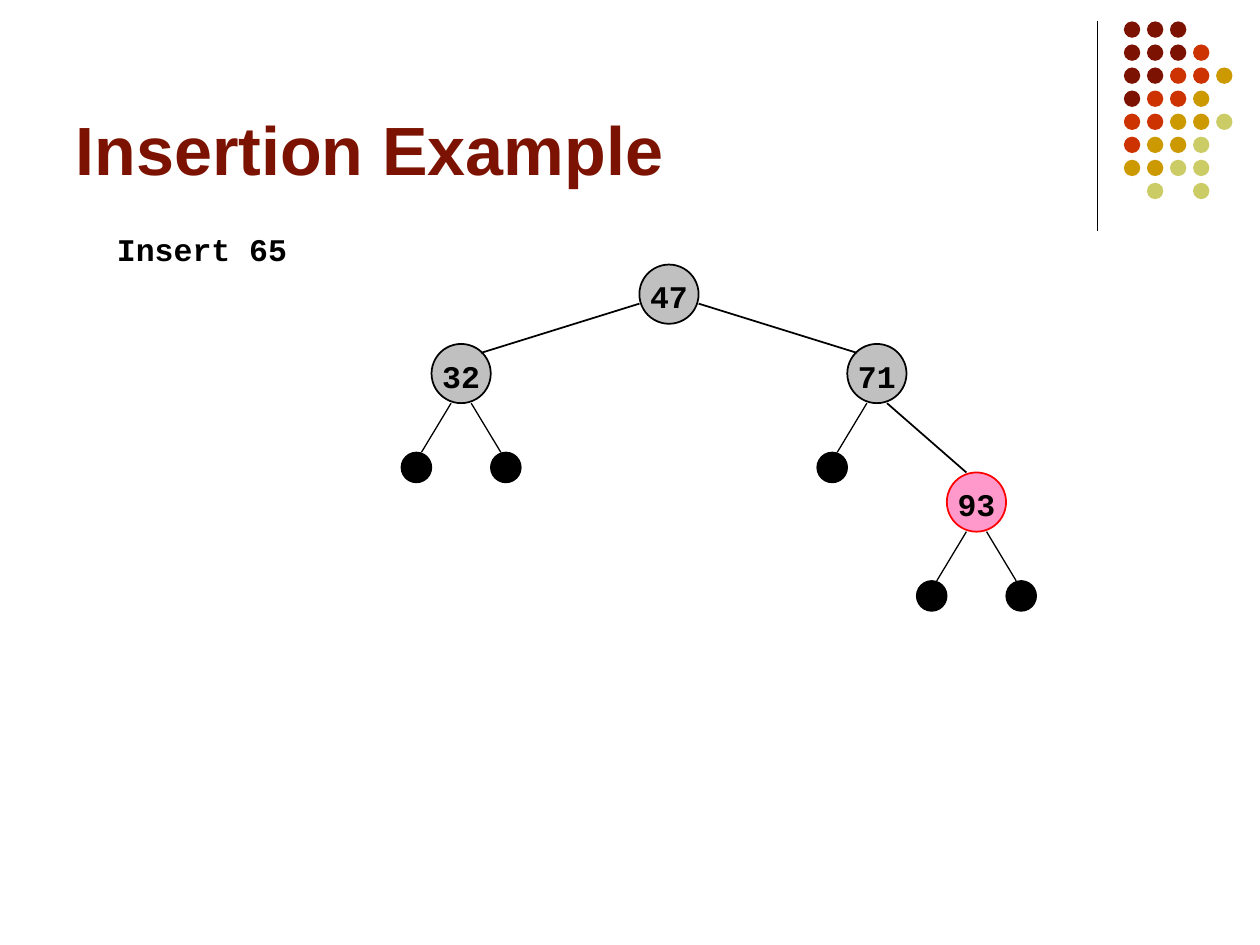
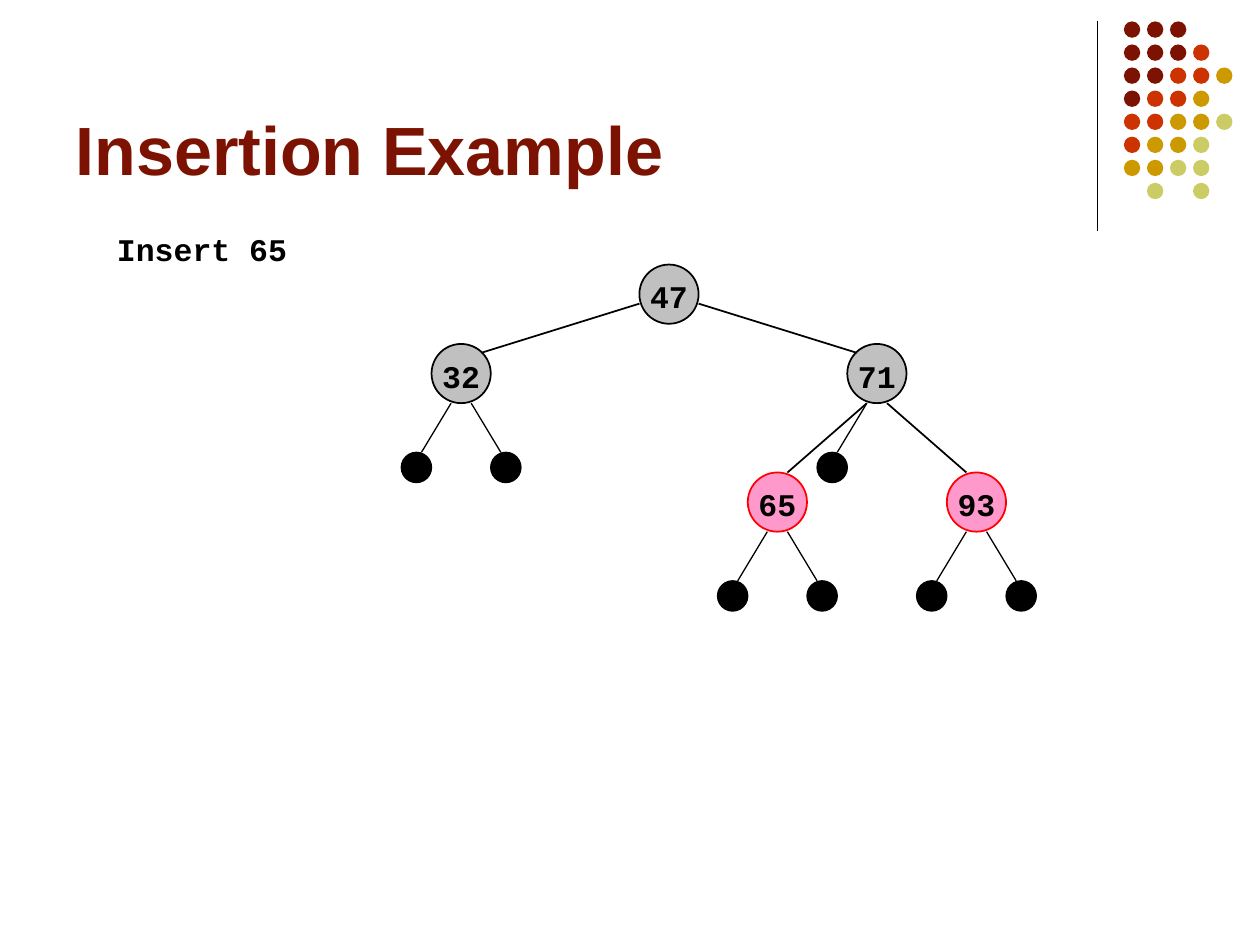
from lxml.etree import SubElement
from pptx import Presentation
from pptx.dml.color import RGBColor
from pptx.enum.shapes import MSO_CONNECTOR, MSO_SHAPE
from pptx.enum.text import MSO_ANCHOR, PP_ALIGN
from pptx.oxml.ns import qn
from pptx.util import Inches, Pt

COLORS = {
    "maroon": "7C1302", "red": "CC3300", "gold": "CC9900", "olive": "CCCC66",
    "black": "000000", "grey": "C0C0C0", "pink": "FF99CC", "bright red": "FF0000",
}

# Dot grid of the corner ornament, one letter a dot
DOT_ROWS = ["MMM", "MMMR", "MMRRG", "MRRG", "RRGGO", "RGGO", "GGOO", " O O"]
DOT_COLORS = {"M": "maroon", "R": "red", "G": "gold", "O": "olive"}
DOT_SIZE, DOT_STEP = 0.13, 0.183
DOT_LEFT, DOT_TOP = 8.92, 0.17

# Tree grid: column centres and the top of each level
NODE, LEAF = 0.47, 0.24
ROOT_X = 5.31
LEVEL_TOPS = [2.1, 2.73, 3.75]
CHILD_STEP, GRANDCHILD_STEP = 1.65, 0.79
FOOT = 0.08           # distance of an edge's end from the node's centre line
LEAF_SHIFT, LEAF_DROP = 0.355, 0.39

RIGHT_X = ROOT_X + CHILD_STEP
NODES = {  # key: (centre, level, fill, line)
    "47": (ROOT_X, 0, "grey", "black"),
    "71": (RIGHT_X, 1, "grey", "black"),
    "32": (ROOT_X - CHILD_STEP, 1, "grey", "black"),
    "65": (RIGHT_X - GRANDCHILD_STEP, 2, "pink", "bright red"),
    "93": (RIGHT_X + GRANDCHILD_STEP, 2, "pink", "bright red"),
}
LEFT, RIGHT = -1, 1
LEAVES = [("32", LEFT), ("32", RIGHT), ("65", LEFT), ("65", RIGHT),
          ("93", LEFT), ("93", RIGHT), ("71", LEFT)]
SLIDE_KEYS = [["47", "71", "32", "93"], ["47", "71", "32", "65", "93"]]


def add_circle(slide, left, top, size, fill, line=None, width=0.75):
    shape = slide.shapes.add_shape(
        MSO_SHAPE.OVAL, Inches(left), Inches(top), Inches(size), Inches(size))
    shape.shadow.inherit = False
    shape.fill.solid()
    shape.fill.fore_color.rgb = RGBColor.from_string(COLORS[fill])
    if line:
        shape.line.color.rgb = RGBColor.from_string(COLORS[line])
        shape.line.width = Pt(width)
    else:
        shape.line.fill.background()
    return shape


def add_line(slide, start_x, start_y, end_x, end_y, width=0.75):
    connector = slide.shapes.add_connector(
        MSO_CONNECTOR.STRAIGHT, Inches(start_x), Inches(start_y),
        Inches(end_x), Inches(end_y))
    connector.line.color.rgb = RGBColor.from_string(COLORS["black"])
    connector.line.width = Pt(width)
    SubElement(connector._element.spPr, qn("a:effectLst"))
    return connector


presentation = Presentation()
presentation.slide_width, presentation.slide_height = Inches(10), Inches(7.5)
layout = presentation.slide_layouts[5]
slides = [presentation.slides.add_slide(layout) for keys in SLIDE_KEYS]

# Shared ornament: drawn once, then moved to the layout
ornament = [add_line(slides[0], 8.71, 0.17, 8.71, 1.83)]
for row, letters in enumerate(DOT_ROWS):
    for column, letter in enumerate(letters):
        if letter in DOT_COLORS:
            ornament.append(add_circle(
                slides[0], DOT_LEFT + column * DOT_STEP, DOT_TOP + row * DOT_STEP,
                DOT_SIZE, DOT_COLORS[letter]))
for shape in ornament:
    layout.shapes._spTree.append(shape._element)

for slide, keys in zip(slides, SLIDE_KEYS):
    # Title and caption
    title = slide.shapes.title
    title.left, title.top = Inches(0.5), Inches(0.13)
    title.width, title.height = Inches(8.25), Inches(1.42)
    caption = slide.shapes.add_textbox(
        Inches(0.83), Inches(1.78), Inches(2.6), Inches(0.4))
    texts = [(title, "Insertion Example", "Arial", 39, "maroon", PP_ALIGN.LEFT),
             (caption, "Insert 65", "Courier New", 18, "black", PP_ALIGN.LEFT)]
    title.text_frame.vertical_anchor = MSO_ANCHOR.BOTTOM

    # Nodes
    for key in keys:
        center, level, fill, line = NODES[key]
        node = add_circle(slide, center - NODE / 2, LEVEL_TOPS[level], NODE,
                          fill, line, 1)
        texts.append((node, key, "Courier New", 18, "black", PP_ALIGN.CENTER))
        frame = node.text_frame
        frame.vertical_anchor = MSO_ANCHOR.MIDDLE
        frame.margin_left = frame.margin_right = 0
        frame.margin_top, frame.margin_bottom = Inches(0.03), 0

    # Text of the title, the caption and the nodes
    for shape, text, font, size, color, alignment in texts:
        shape.text_frame.word_wrap = shape in (title, caption)
        paragraph = shape.text_frame.paragraphs[0]
        paragraph.alignment = alignment
        run = paragraph.add_run()
        run.text = text
        run.font.name, run.font.size, run.font.bold = font, Pt(size), True
        run.font.color.rgb = RGBColor.from_string(COLORS[color])

    # Edges from the root
    for side in (LEFT, RIGHT):
        add_line(slide, ROOT_X + side * NODE / 2, 2.41,
                 ROOT_X + side * (CHILD_STEP - 2 * FOOT), 2.8, 1)

    # Edges from 71 to its children
    for key, side in (("65", LEFT), ("93", RIGHT)):
        if key in keys:
            add_line(slide, RIGHT_X + side * FOOT, LEVEL_TOPS[1] + NODE,
                     NODES[key][0] - side * FOOT, LEVEL_TOPS[2], 1)

    # Black leaves
    for key, side in LEAVES:
        if key in keys:
            center, level = NODES[key][:2]
            bottom = LEVEL_TOPS[level] + NODE
            leaf_x = center + side * LEAF_SHIFT
            add_line(slide, center + side * FOOT, bottom,
                     leaf_x - side * FOOT / 2, bottom + LEAF_DROP)
            add_circle(slide, leaf_x - LEAF / 2, bottom + LEAF_DROP, LEAF,
                       "black", "black")

presentation.save("out.pptx")
